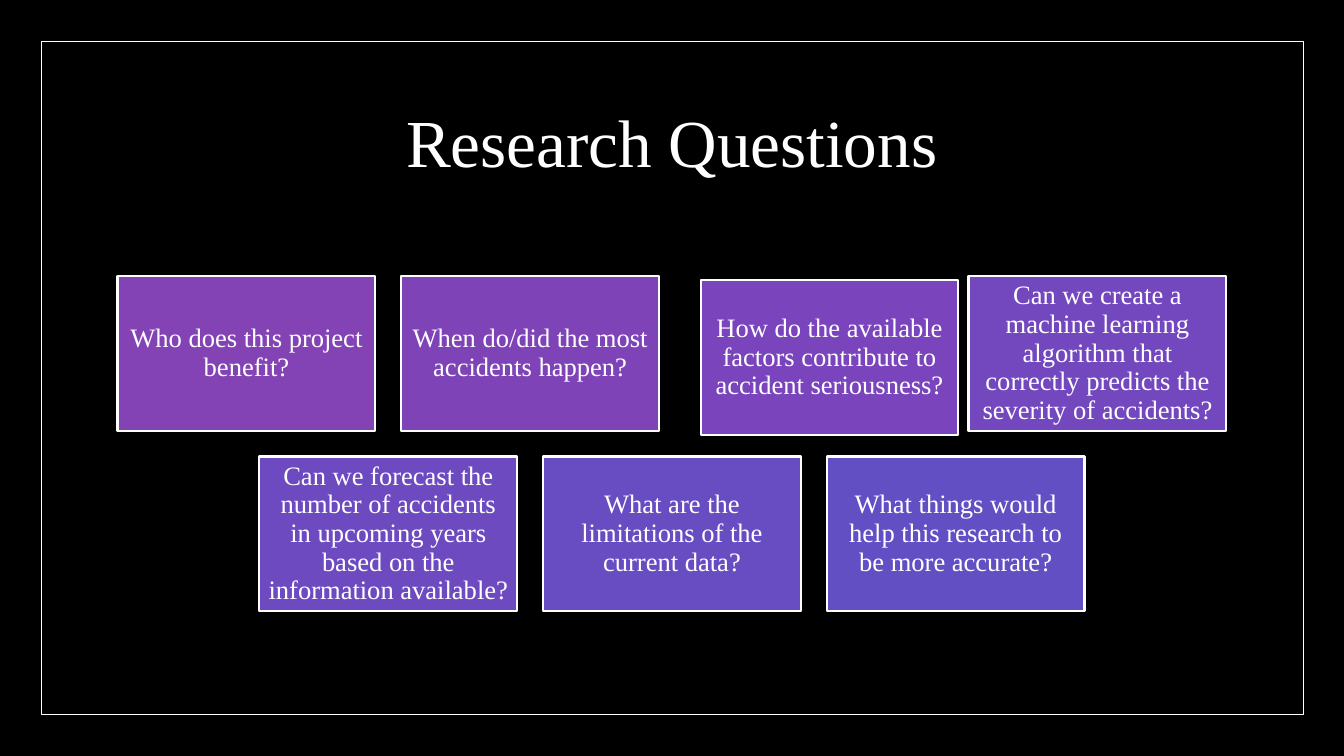
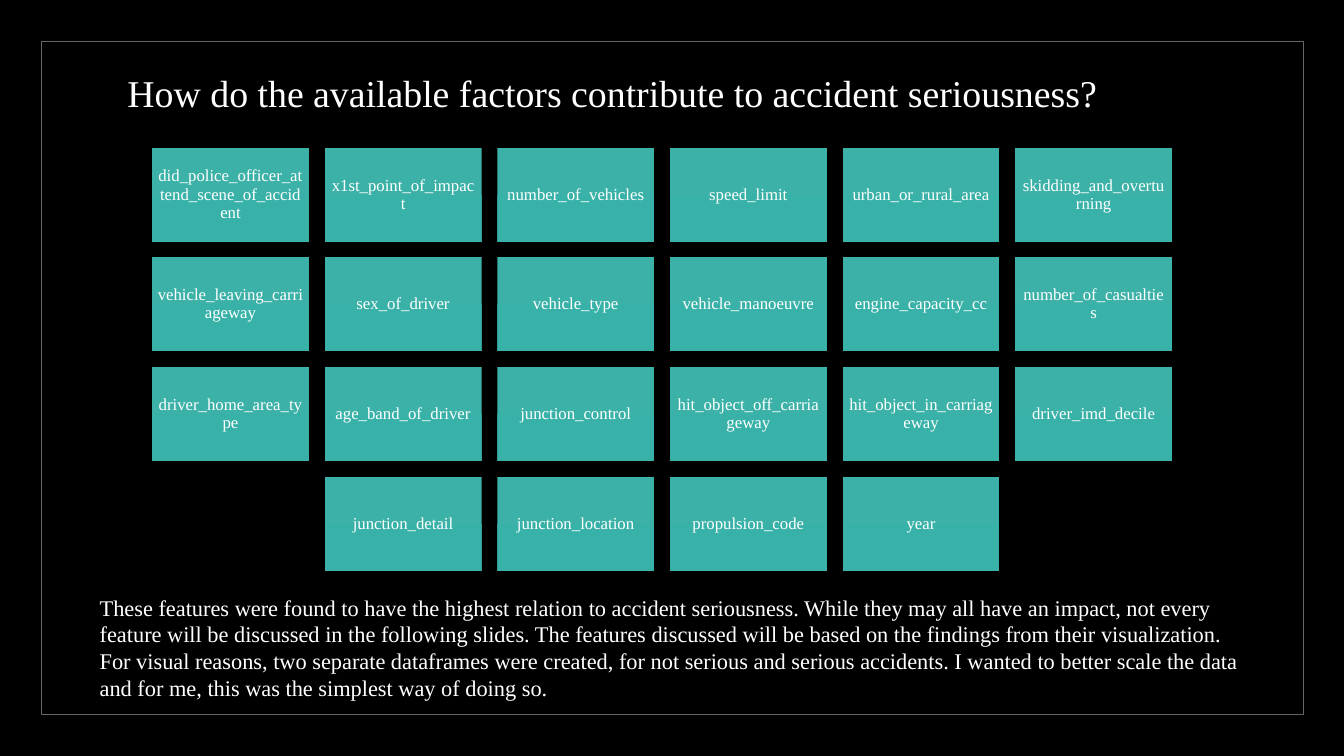
from pptx import Presentation
from pptx.dml.color import RGBColor
from pptx.enum import shapes, text
from pptx.util import Pt

FONT = "Times New Roman"
WHITE = "FFFFFF"
BLACK = "000000"
CENTER = text.PP_ALIGN.CENTER
LEFT = text.PP_ALIGN.LEFT
MIDDLE = text.MSO_ANCHOR.MIDDLE
TOP = text.MSO_ANCHOR.TOP


def color(hex_value):
    return RGBColor.from_string(hex_value)


def write(shape, words, size, align=CENTER, anchor=MIDDLE, inset=(7.2, 3.6), spacing=0.9):
    frame = shape.text_frame
    frame.word_wrap = True
    frame.vertical_anchor = anchor
    frame.margin_left = frame.margin_right = Pt(inset[0])
    frame.margin_top = frame.margin_bottom = Pt(inset[1])
    paragraph = frame.paragraphs[0]
    paragraph.alignment = align
    paragraph.line_spacing = spacing
    run = paragraph.add_run()
    run.text = words
    run.font.name = FONT
    run.font.size = Pt(size)
    run.font.color.rgb = color(WHITE)


questions = [
    "Who does this project benefit?",
    "When do/did the most accidents happen?",
    "How do the available factors contribute to accident seriousness?",
    "Can we create a machine learning algorithm that correctly predicts the severity of accidents?",
    "Can we forecast the number of accidents in upcoming years based on the information available?",
    "What are the limitations of the current data?",
    "What things would help this research to be more accurate?",
]
question_fills = ["8443B4", "7F43B8", "7944BC", "7347BE", "6D4AC0", "684CC2", "624FC4"]
features = [
    "did_police_officer_attend_scene_of_accident", "x1st_point_of_impact",
    "number_of_vehicles", "speed_limit", "urban_or_rural_area", "skidding_and_overturning",
    "vehicle_leaving_carriageway", "sex_of_driver", "vehicle_type",
    "vehicle_manoeuvre", "engine_capacity_cc", "number_of_casualties",
    "driver_home_area_type", "age_band_of_driver", "junction_control",
    "hit_object_off_carriageway", "hit_object_in_carriageway", "driver_imd_decile",
    "junction_detail", "junction_location", "propulsion_code", "year",
]
feature_gradient = ["3BB1A7", "38B2A8"]
summary = (
    "These features were found to have the highest relation to accident seriousness. "
    "While they may all have an impact, not every feature will be discussed in the following slides. "
    "The features discussed will be based on the findings from their visualization. "
    "For visual reasons, two separate dataframes were created, for not serious and serious accidents. "
    "I wanted to better scale the data and for me, this was the simplest way of doing so."
)

pages = [
    {"title": "Research Questions", "title_top": 50.4, "title_height": 108, "title_size": 48,
     "title_align": CENTER, "frame": WHITE, "tiles": questions, "columns": 4,
     "left": 84, "top": 197.2, "width": 184.2, "height": 110.5, "size": 19, "inset": 5.7,
     "nudges": {2: (11.2, 2.9)}},
    {"title": "How do the available factors contribute to accident seriousness?",
     "title_top": 50.4, "title_height": 35, "title_size": 27,
     "title_align": LEFT, "frame": "666666", "tiles": features, "columns": 6,
     "left": 108.6, "top": 105.4, "width": 112.1, "height": 67.2, "size": 12, "inset": 3.8,
     "nudges": {}},
]

presentation = Presentation()
presentation.slide_width = Pt(960)
presentation.slide_height = Pt(540)
background = presentation.slide_master.background.fill
background.solid()
background.fore_color.rgb = color(BLACK)

for page in pages:
    slide = presentation.slides.add_slide(presentation.slide_layouts[6])
    border = slide.shapes.add_shape(
        shapes.MSO_SHAPE.RECTANGLE, Pt(29.5), Pt(29.5), Pt(901.4), Pt(481))
    border.shadow.inherit = False
    border.fill.background()
    border.line.color.rgb = color(page["frame"])
    border.line.width = Pt(0.5)

    title = slide.shapes.add_textbox(
        Pt(84), Pt(page["title_top"]), Pt(792), Pt(page["title_height"]))
    write(title, page["title"], page["title_size"], page["title_align"])

    tiles, columns = page["tiles"], page["columns"]
    width, height = page["width"], page["height"]
    gap = width / 10
    for index, words in enumerate(tiles):
        row, column = divmod(index, columns)
        row_count = min(columns, len(tiles) - row * columns)
        indent = (columns - row_count) * (width + gap) / 2
        nudge_x, nudge_y = page["nudges"].get(index, (0, 0))
        tile = slide.shapes.add_shape(
            shapes.MSO_SHAPE.RECTANGLE,
            Pt(page["left"] + indent + column * (width + gap) + nudge_x),
            Pt(page["top"] + row * (height + gap) + nudge_y),
            Pt(width), Pt(height))
        tile.shadow.inherit = False
        if tiles is questions:
            tile.fill.solid()
            tile.fill.fore_color.rgb = color(question_fills[index])
            tile.line.color.rgb = color(WHITE)
            tile.line.width = Pt(1.5)
        else:
            tile.fill.gradient()
            tile.fill.gradient_angle = 270
            for stop, shade in zip(tile.fill.gradient_stops, feature_gradient):
                stop.color.rgb = color(shade)
            tile.line.fill.background()
        write(tile, words, page["size"], inset=(page["inset"], page["inset"]))

note = slide.shapes.add_textbox(Pt(64.1), Pt(420.5), Pt(831.6), Pt(85))
write(note, summary, 16, LEFT, TOP, spacing=1.0)

presentation.save("out.pptx")
